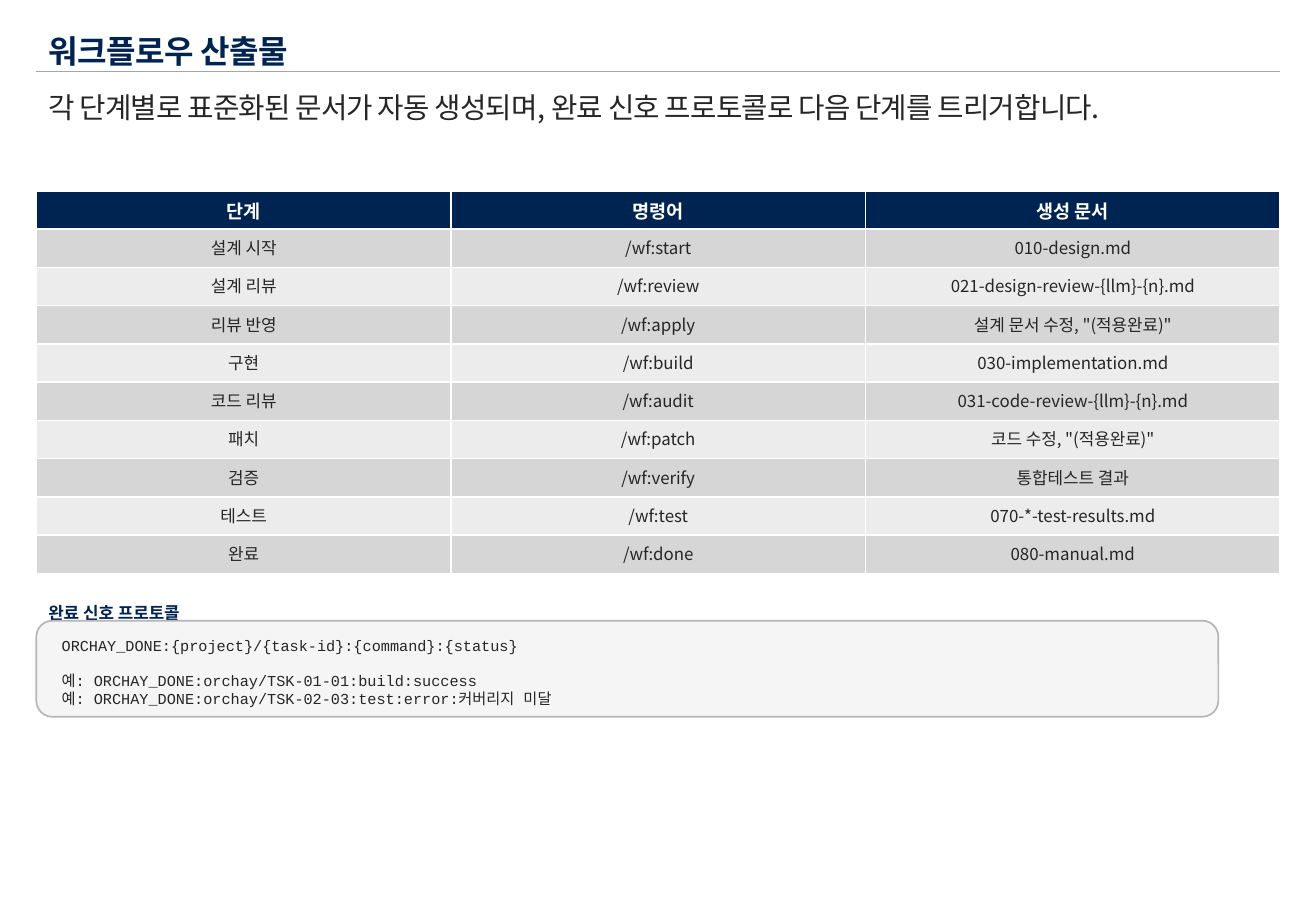
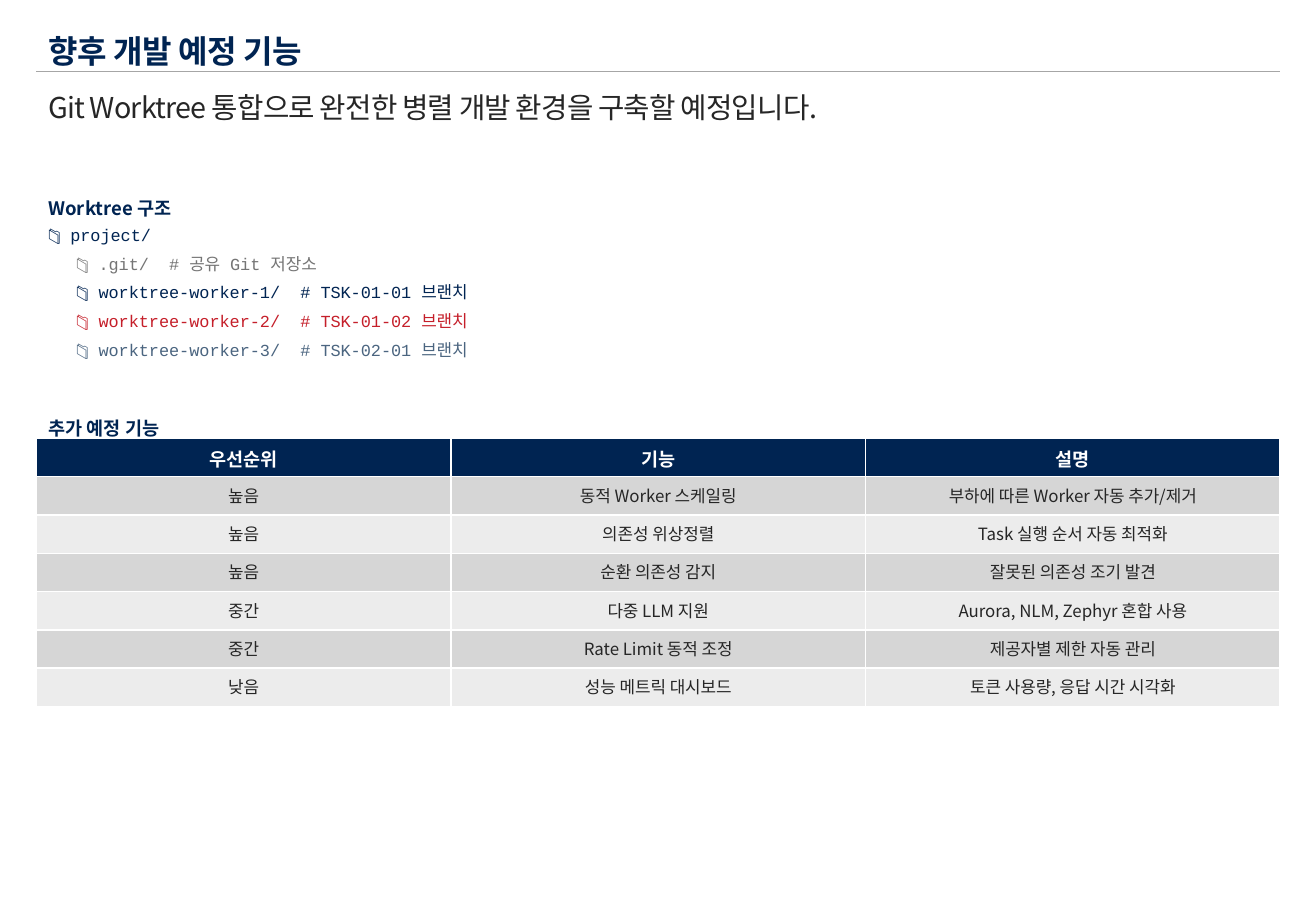
from dataclasses import dataclass

from lxml import etree
from pptx import Presentation
from pptx.dml.color import RGBColor
from pptx.enum.shapes import MSO_CONNECTOR, MSO_SHAPE
from pptx.enum.text import MSO_ANCHOR, MSO_AUTO_SIZE, PP_ALIGN
from pptx.oxml.ns import qn
from pptx.util import Cm, Pt

STRAIGHT = MSO_CONNECTOR.STRAIGHT
ROUNDED = MSO_SHAPE.ROUNDED_RECTANGLE
MIDDLE = MSO_ANCHOR.MIDDLE
GROW = MSO_AUTO_SIZE.SHAPE_TO_FIT_TEXT
CENTER = PP_ALIGN.CENTER


@dataclass(frozen=True)
class Theme:
    navy: str = "002452"
    ink: str = "262626"
    gray: str = "757575"
    red: str = "C51F2A"
    slate: str = "4B6580"
    white: str = "FFFFFF"
    rule: str = "A6A6A6"
    panel: str = "F5F5F5"
    panel_edge: str = "B6B6B6"
    bands: tuple = ("D6D6D6", "ECECEC")
    sans: str = "Noto Sans CJK KR"
    mono: str = "Courier New"
    title: float = 19
    message: float = 17
    heading: float = 11
    body: float = 10
    code: float = 9


T = Theme()

OUTPUTS = {
    "title": "워크플로우 산출물",
    "message": "각 단계별로 표준화된 문서가 자동 생성되며, 완료 신호 프로토콜로 다음 단계를 트리거합니다.",
    "table": [
        ("단계", "명령어", "생성 문서"),
        ("설계 시작", "/wf:start", "010-design.md"),
        ("설계 리뷰", "/wf:review", "021-design-review-{llm}-{n}.md"),
        ("리뷰 반영", "/wf:apply", '설계 문서 수정, "(적용완료)"'),
        ("구현", "/wf:build", "030-implementation.md"),
        ("코드 리뷰", "/wf:audit", "031-code-review-{llm}-{n}.md"),
        ("패치", "/wf:patch", '코드 수정, "(적용완료)"'),
        ("검증", "/wf:verify", "통합테스트 결과"),
        ("테스트", "/wf:test", "070-*-test-results.md"),
        ("완료", "/wf:done", "080-manual.md"),
    ],
    "protocol_heading": "완료 신호 프로토콜",
    "protocol": [
        "ORCHAY_DONE:{project}/{task-id}:{command}:{status}",
        "예: ORCHAY_DONE:orchay/TSK-01-01:build:success",
        "예: ORCHAY_DONE:orchay/TSK-02-03:test:error:커버리지 미달",
    ],
}

ROADMAP = {
    "title": "향후 개발 예정 기능",
    "message": "Git Worktree 통합으로 완전한 병렬 개발 환경을 구축할 예정입니다.",
    "tree_heading": "Worktree 구조",
    "tree": [  # depth, text, colour
        (0, "📁 project/", T.navy),
        (1, "📁 .git/  # 공유 Git 저장소", T.gray),
        (1, "📁 worktree-worker-1/  # TSK-01-01 브랜치", T.navy),
        (1, "📁 worktree-worker-2/  # TSK-01-02 브랜치", T.red),
        (1, "📁 worktree-worker-3/  # TSK-02-01 브랜치", T.slate),
    ],
    "table_heading": "추가 예정 기능",
    "table": [
        ("우선순위", "기능", "설명"),
        ("높음", "동적 Worker 스케일링", "부하에 따른 Worker 자동 추가/제거"),
        ("높음", "의존성 위상정렬", "Task 실행 순서 자동 최적화"),
        ("높음", "순환 의존성 감지", "잘못된 의존성 조기 발견"),
        ("중간", "다중 LLM 지원", "Aurora, NLM, Zephyr 혼합 사용"),
        ("중간", "Rate Limit 동적 조정", "제공자별 제한 자동 관리"),
        ("낮음", "성능 메트릭 대시보드", "토큰 사용량, 응답 시간 시각화"),
    ],
}

# Layout, in centimetres
LEFT, WIDTH = 0.76, 26
CONTENT_TOP = 3.99
ROW_H = 0.8
HEADING_H, HEADING_STEP = 0.51, 0.58
TREE_STEP, TREE_INDENT = 0.6, 0.59


def rgb(color):
    return RGBColor.from_string(color)


def style(p, size, color, bold=False, face=T.sans, tracking=0):
    """Format every run of a paragraph; tracking is in points."""
    for r in p.runs:
        r.font.size = Pt(size)
        r.font.bold = bold
        r.font.color.rgb = rgb(color)
        r.font.name = face
        props = r.font._element
        etree.SubElement(props, qn("a:ea")).set("typeface", face)
        if tracking:
            props.set("spc", str(round(tracking * 100)))


def add_text(slide, box, text, size, color, grow=True, **look):
    sp = slide.shapes.add_textbox(*map(Cm, box))
    tf = sp.text_frame
    tf.word_wrap = True
    if grow:
        tf.auto_size = GROW
    tf.text = text
    for p in tf.paragraphs:
        style(p, size, color, **look)
    return tf


def add_heading(slide, top, text, size=T.heading, height=HEADING_H):
    add_text(slide, (LEFT, top, WIDTH, height), text, size, T.navy, bold=True)


def add_frame(prs, content):
    """New slide with the title, the rule and the message line."""
    slide = prs.slides.add_slide(prs.slide_layouts[6])
    rule = slide.shapes.add_connector(
        STRAIGHT, Cm(LEFT), Cm(1.5), Cm(LEFT + WIDTH), Cm(1.5))
    rule.line.color.rgb = rgb(T.rule)
    rule.line.width = Pt(0.5)
    etree.SubElement(rule._element.spPr, qn("a:effectLst"))

    message = add_text(slide, (LEFT, 1.6, WIDTH, 1.98), content["message"],
                       T.message, T.ink, grow=False, tracking=-0.5)
    message.margin_bottom = 0
    title = add_text(slide, (LEFT, 0.48, 17.15, 1.02), content["title"],
                     T.title, T.navy, bold=True, tracking=-0.2)
    title.vertical_anchor = MIDDLE
    for tf in (message, title):
        tf.paragraphs[0].line_spacing = 1.2
    return slide


def add_grid(slide, top, rows):
    table = slide.shapes.add_table(
        len(rows), len(rows[0]), Cm(LEFT), Cm(top),
        Cm(WIDTH), Cm(ROW_H * len(rows))).table
    for i, row in enumerate(rows):
        table.rows[i].height = Cm(ROW_H)
        header = i == 0
        for j, text in enumerate(row):
            cell = table.cell(i, j)
            cell.text = text
            cell.fill.solid()
            cell.fill.fore_color.rgb = rgb(
                T.navy if header else T.bands[(i - 1) % 2])
            p = cell.text_frame.paragraphs[0]
            p.alignment = CENTER
            style(p, T.heading if header else T.body,
                  T.white if header else T.ink, bold=header)


def add_protocol(slide, top, lines):
    sp = slide.shapes.add_shape(
        ROUNDED, Cm(LEFT), Cm(top), Cm(24.71), Cm(2.01))
    sp.shadow.inherit = False
    sp.fill.solid()
    sp.fill.fore_color.rgb = rgb(T.panel)
    sp.line.color.rgb = rgb(T.panel_edge)
    sp.line.width = Pt(1)
    tf = add_text(slide, (LEFT + 0.28, top + 0.2, 24.1, 1.6),
                  "\n".join(lines), T.code, T.ink, face=T.mono)
    tf.paragraphs[1].space_before = Pt(10)


def build_outputs(prs):
    slide = add_frame(prs, OUTPUTS)
    add_grid(slide, CONTENT_TOP, OUTPUTS["table"])
    add_heading(slide, 12.47, OUTPUTS["protocol_heading"], T.body, 0.41)
    add_protocol(slide, 12.98, OUTPUTS["protocol"])


def build_roadmap(prs):
    slide = add_frame(prs, ROADMAP)
    add_heading(slide, CONTENT_TOP, ROADMAP["tree_heading"])
    tree_top = CONTENT_TOP + HEADING_STEP
    for i, (depth, text, color) in enumerate(ROADMAP["tree"]):
        box = (LEFT + depth * TREE_INDENT, tree_top + i * TREE_STEP, 10, TREE_STEP)
        add_text(slide, box, text, T.body, color, face=T.mono)
    table_heading_top = 8.59
    add_heading(slide, table_heading_top, ROADMAP["table_heading"])
    add_grid(slide, table_heading_top + HEADING_STEP, ROADMAP["table"])


def main():
    prs = Presentation()
    prs.slide_width, prs.slide_height = Cm(27.51), Cm(19.05)
    build_outputs(prs)
    build_roadmap(prs)
    prs.save("out.pptx")


if __name__ == "__main__":
    main()
